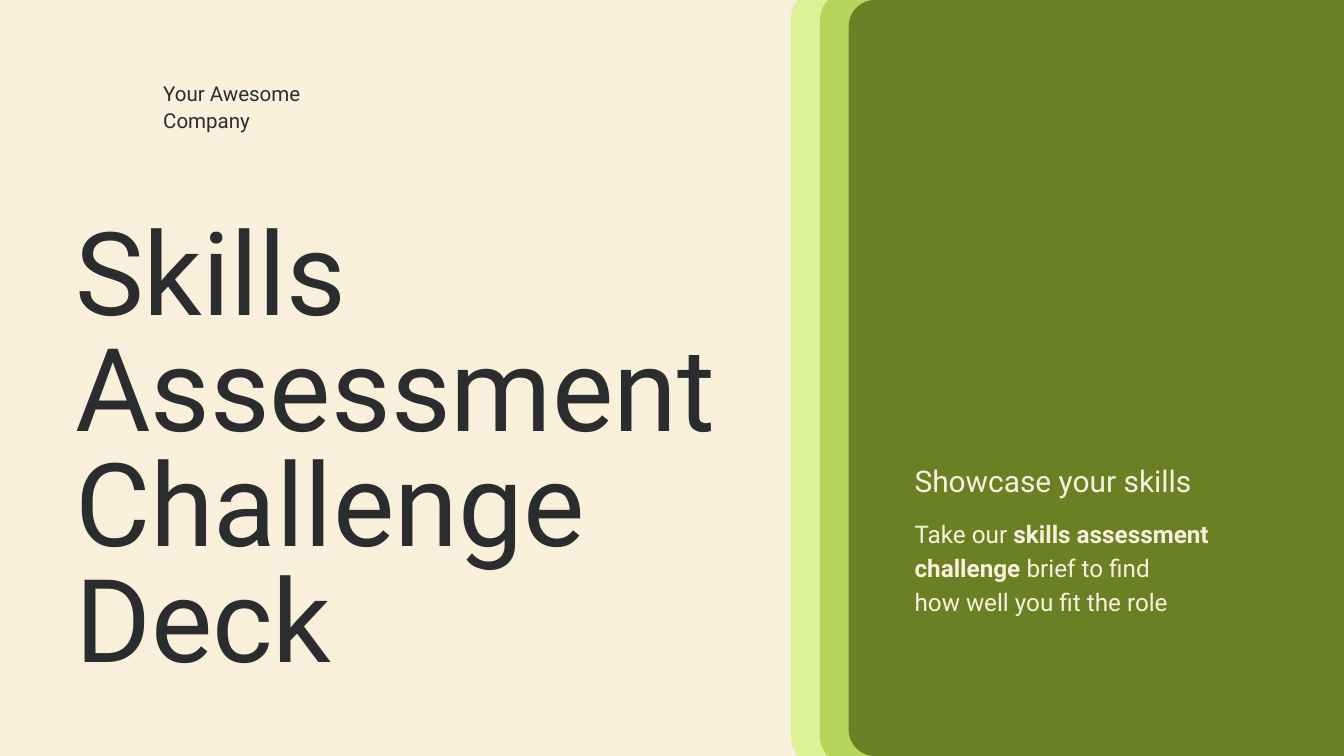
"""Build the cover slide of a skills assessment deck."""
from pptx import Presentation
from pptx.dml.color import RGBColor
from pptx.enum.shapes import MSO_SHAPE
from pptx.enum.text import MSO_AUTO_SIZE
from pptx.util import Cm, Pt

CREAM, INK = "F9F0DC", "2A2C2E"


def colour(hex_code):
    return RGBColor.from_string(hex_code)


class Cover:
    font = "Roboto"

    def __init__(self, slide, background):
        self.slide = slide
        fill = slide.background.fill
        fill.solid()
        fill.fore_color.rgb = colour(background)

    def panel(self, left, top, width, height, radius, fill):
        panel = self.slide.shapes.add_shape(
            MSO_SHAPE.ROUNDED_RECTANGLE, Cm(left), Cm(top), Cm(width), Cm(height))
        panel.adjustments[0] = radius / min(width, height)
        panel.shadow.inherit = False
        panel.fill.solid()
        panel.fill.fore_color.rgb = colour(fill)
        panel.line.fill.background()

    def text(self, left, top, width, height, lines, size, spacing, ink, bold=""):
        box = self.slide.shapes.add_textbox(Cm(left), Cm(top), Cm(width), Cm(height))
        frame = box.text_frame
        frame.margin_left = frame.margin_top = frame.margin_right = frame.margin_bottom = 0
        frame.word_wrap = True
        frame.auto_size = MSO_AUTO_SIZE.SHAPE_TO_FIT_TEXT
        frame.text = "\n".join(lines)
        for paragraph in frame.paragraphs:
            paragraph.line_spacing = Pt(spacing)
            if bold and bold in paragraph.text:
                before, after = paragraph.text.split(bold)
                paragraph.runs[0].text = before
                for part in (bold, after):
                    paragraph.add_run().text = part
            for run in paragraph.runs:
                run.font.name = self.font
                run.font.size = Pt(size)
                run.font.bold = run.text == bold
                run.font.color.rgb = colour(ink)


def main():
    deck = Presentation()
    deck.slide_width, deck.slide_height = Cm(50.8), Cm(28.58)
    cover = Cover(deck.slides.add_slide(deck.slide_layouts[6]), CREAM)

    cover.panel(29.9, -0.36, 21.46, 29.31, 1.07, "DDF195")
    cover.panel(30.99, -0.36, 19.81, 29.31, 1.14, "B9D45A")
    cover.panel(32.08, 0, 22.86, 28.58, 0.99, "6B8025")

    cover.text(6.17, 3, 5.79, 1.98, ["Your Awesome", "Company"], 22, 28.6, INK)
    cover.text(2.84, 8.43, 24.97, 17.68, ["Skills Assessment Challenge Deck"], 124, 124, INK)
    cover.text(34.57, 17.7, 13.36, 1.22, ["Showcase your skills"], 32, 32, CREAM)
    cover.text(34.57, 19.46, 13.36, 3.73,
               ["Take our skills assessment challenge brief to find", "how well you fit the role"],
               26, 36.4, CREAM, bold="skills assessment challenge ")
    deck.save("out.pptx")


if __name__ == "__main__":
    main()
